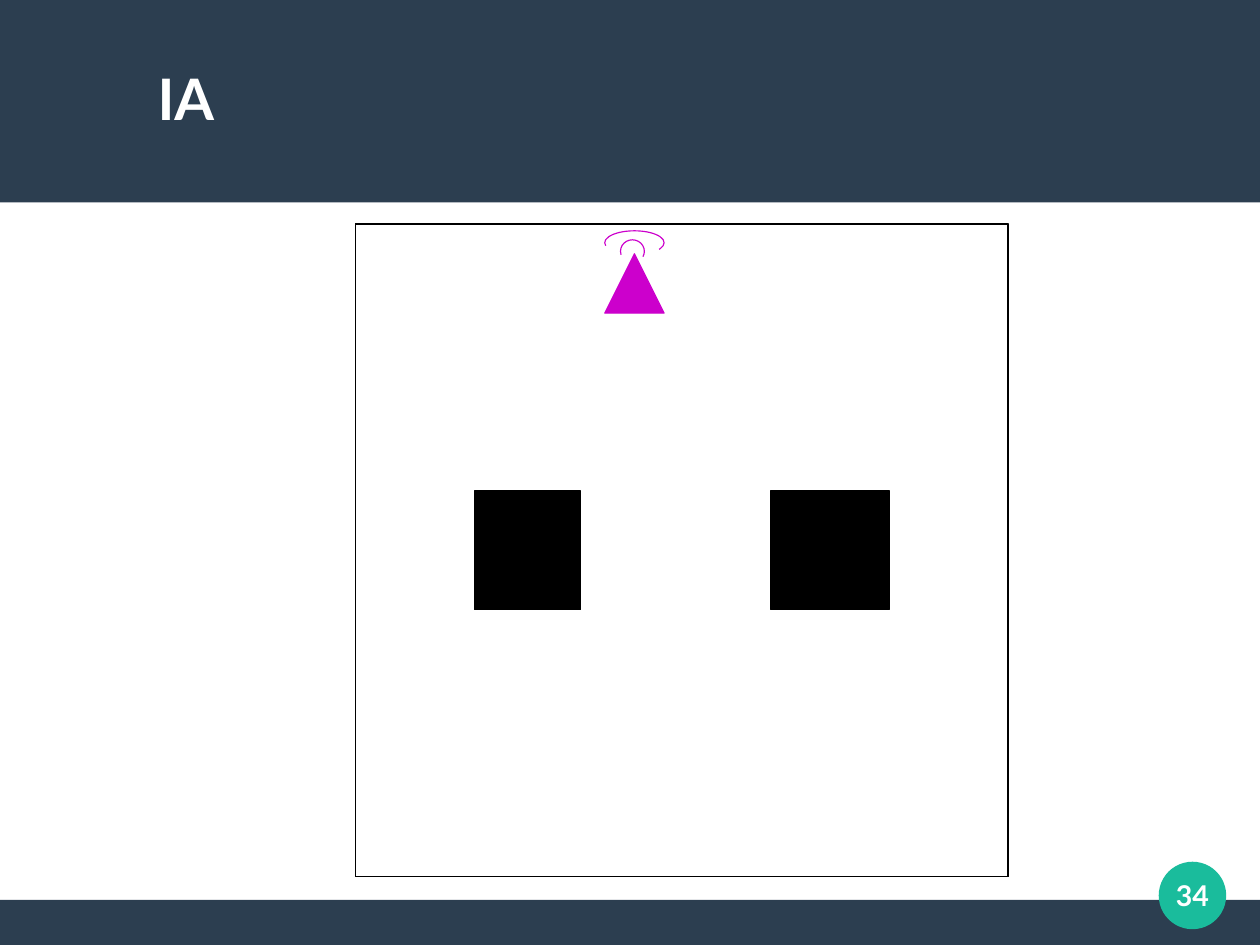
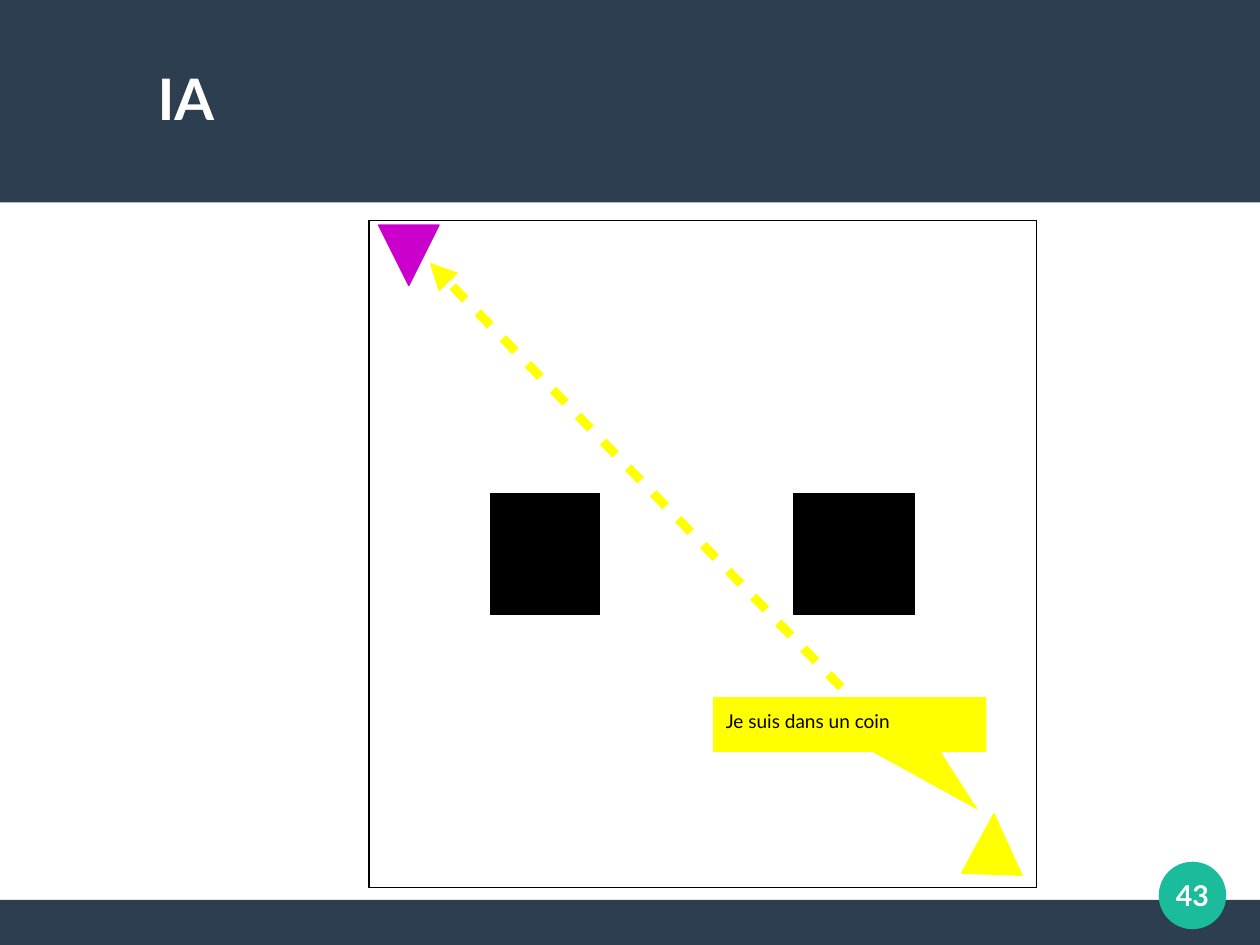
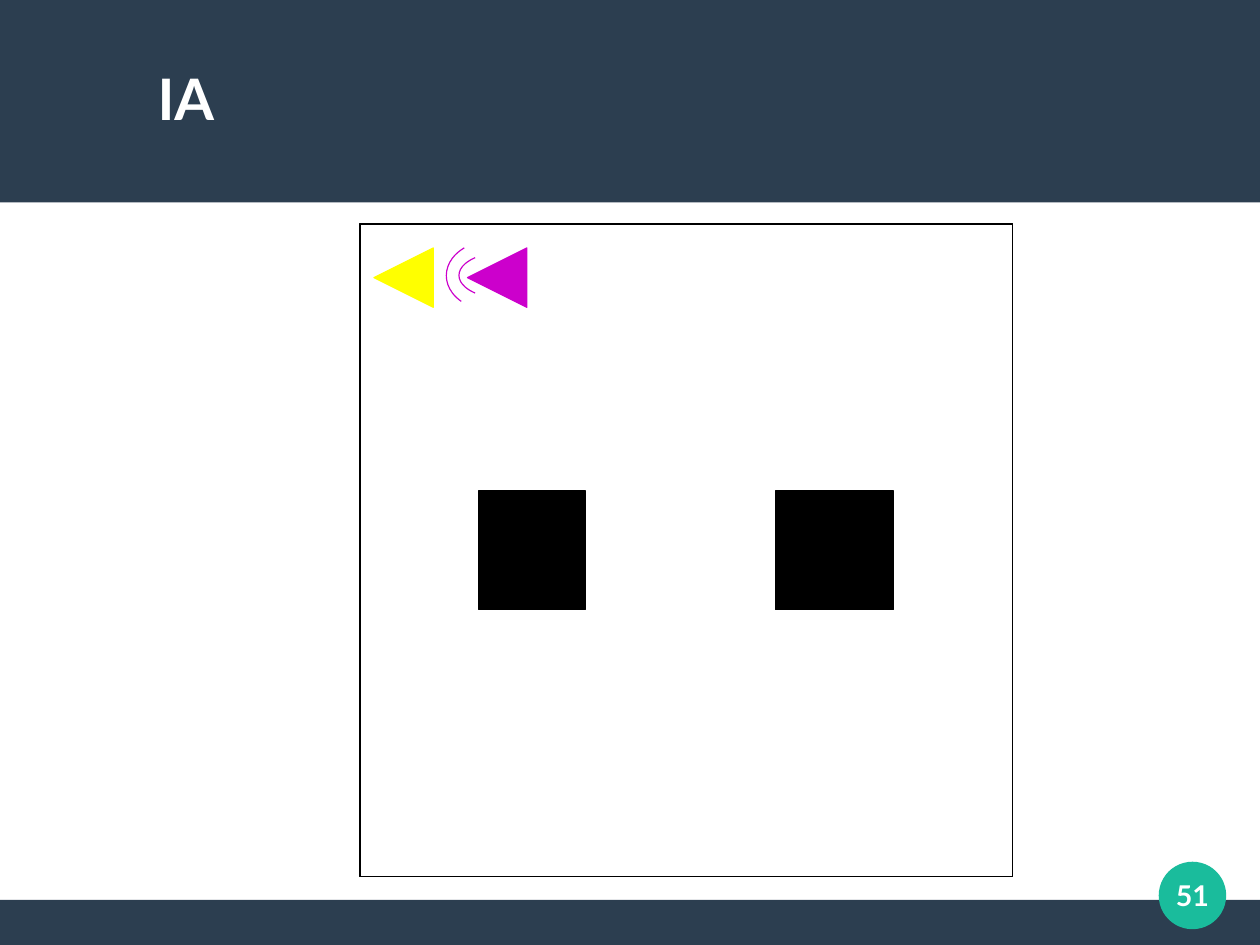
from dataclasses import dataclass

from pptx import Presentation
from pptx.dml.color import RGBColor
from pptx.enum.shapes import MSO_CONNECTOR, MSO_SHAPE
from pptx.enum.text import MSO_ANCHOR, PP_ALIGN
from pptx.oxml import parse_xml
from pptx.oxml.ns import nsdecls, qn
from pptx.util import Cm, Pt

RECTANGLE, OVAL = MSO_SHAPE.RECTANGLE, MSO_SHAPE.OVAL
TRIANGLE, ARC, FRAME = MSO_SHAPE.ISOSCELES_TRIANGLE, MSO_SHAPE.ARC, MSO_SHAPE.FRAME
CALLOUT = MSO_SHAPE.RECTANGULAR_CALLOUT
STRAIGHT = MSO_CONNECTOR.STRAIGHT
LEFT, CENTER = PP_ALIGN.LEFT, PP_ALIGN.CENTER
TOP, MIDDLE = MSO_ANCHOR.TOP, MSO_ANCHOR.MIDDLE
TITLE_ONLY = 5


@dataclass(frozen=True)
class Theme:
    font: str = "Lato"
    band: str = "2C3E50"
    badge: str = "1ABC9C"
    light: str = "FFFFFF"
    dark: str = "000000"
    sensing: str = "CC00CC"
    talking: str = "FFFF00"
    title_size: float = 36
    number_size: float = 18
    message_size: float = 12
    arrow_width: float = 5.67


THEME = Theme()

# Lengths are centimetres; boxes are left, top, width, height
SLIDE_SIZE = (28, 21)
TITLE_BOX = (1, 0.84, 26, 2.67)
TITLE_INDENT = 2.5
NUMBER_BOX = (25.5, 18.9, 2, 2)
SHARED_PARTS = [
    (RECTANGLE, (0, 20, 28, 1), THEME.band),
    (RECTANGLE, (0, 0, 28, 4.5), THEME.band),
    (OVAL, (25.75, 19.15, 1.5, 1.5), THEME.badge),
]

# The arena is a square of 11 by 11 cells; obstacles are given in cells
CELLS = 11
OBSTACLES = [(2, 4.5, 1.8, 2), (7, 4.5, 2, 2)]

# Robots: left, top, rotation, colour. Waves: box, start and end angle.
SLIDES = [
    {
        "title": "IA", "number": "34", "arena": (7.9, 4.98, 14.5),
        "robots": [(13.44, 5.64, 0, THEME.sensing)],
        "waves": [((13.44, 5.13, 1.32, 0.53), 174, 15),
                  ((13.79, 5.33, 0.53, 0.51), 163, 27)],
    },
    {
        "title": "IA", "number": "43", "arena": (8.2, 4.9, 14.83),
        "robots": [(8.41, 5, 180, THEME.sensing),
                   (21.39, 18.08, 2, THEME.talking)],
        "message": {"text": "Je suis dans un coin",
                    "box": (15.85, 15.49, 6.07, 1.22), "tip": (0.47, 1.56)},
        "arrow": (18.69, 15.27, 9.55, 5.84),
    },
    {
        "title": "IA", "number": "51", "arena": (8, 4.98, 14.5),
        "robots": [(10.39, 5.51, 270, THEME.sensing),
                   (8.31, 5.51, 270, THEME.talking)],
        "waves": [((10.2, 5.6, 2.08, 1.04), 150, 210),
                  ((9.92, 5.35, 2.03, 1.55), 140, 225)],
    },
]


def lengths(values):
    return [Cm(value) for value in values]


def apply_format(target, values):
    for name, value in values.items():
        setattr(target, name, value)


def add_shape(slide, kind, box, fill=None, line=None, adjustments=()):
    shape = slide.shapes.add_shape(kind, *lengths(box))
    shape.shadow.inherit = False
    if fill:
        shape.fill.solid()
        shape.fill.fore_color.rgb = RGBColor.from_string(fill)
    else:
        shape.fill.background()
    if line:
        shape.line.color.rgb = RGBColor.from_string(line)
        shape.line.width = Pt(0)
    else:
        shape.line.fill.background()
    for index, value in enumerate(adjustments):
        shape.adjustments[index] = value
    return shape


def write_text(shape, text, size, color, bold=True, alignment=LEFT,
               anchor=MIDDLE, left=0, top=0):
    frame = shape.text_frame
    frame.text = text
    apply_format(frame, {
        "word_wrap": True, "vertical_anchor": anchor,
        "margin_left": Cm(left), "margin_top": Cm(top),
        "margin_right": 0, "margin_bottom": 0,
    })
    paragraph = frame.paragraphs[0]
    paragraph.alignment = alignment
    font = paragraph.runs[0].font
    apply_format(font, {"name": THEME.font, "size": Pt(size), "bold": bold})
    font.color.rgb = RGBColor.from_string(color)


def move_to_layout(shape, layout, position):
    """Place a shape behind the layout's placeholders."""
    shape.element.nvSpPr.cNvPr.set("id", str(100 + position))
    layout.shapes.element.insert(2 + position, shape.element)


def add_title_and_number(slide, content):
    title = slide.shapes.title
    apply_format(title, dict(zip(("left", "top", "width", "height"),
                                 lengths(TITLE_BOX))))
    write_text(title, content["title"], THEME.title_size, THEME.light,
               left=TITLE_INDENT)
    number = slide.shapes.add_textbox(*lengths(NUMBER_BOX))
    write_text(number, content["number"], THEME.number_size, THEME.light,
               alignment=CENTER)


def add_arena(slide, left, top, side):
    add_shape(slide, FRAME, (left, top, side, side), line=THEME.dark,
              adjustments=(0,))
    cell = side / CELLS
    for column, row, width, height in OBSTACLES:
        box = (left + column * cell, top + row * cell, width * cell, height * cell)
        add_shape(slide, RECTANGLE, box, THEME.dark, THEME.dark)
    return cell


def add_message(slide, message):
    callout = add_shape(slide, CALLOUT, message["box"], THEME.talking,
                        adjustments=message["tip"])
    write_text(callout, message["text"], THEME.message_size, THEME.dark,
               bold=False, anchor=TOP, left=0.28, top=0.28)


def add_dashed_arrow(slide, ends):
    arrow = slide.shapes.add_connector(STRAIGHT, *lengths(ends))
    arrow.line.color.rgb = RGBColor.from_string(THEME.talking)
    arrow.line.width = Pt(THEME.arrow_width)
    properties = arrow.element.spPr
    line = properties.find(qn("a:ln"))
    namespace = nsdecls("a")
    line.append(parse_xml(
        f'<a:custDash {namespace}><a:ds d="200000" sp="200000"/></a:custDash>'))
    line.append(parse_xml(f'<a:tailEnd {namespace} type="triangle"/>'))
    properties.append(parse_xml(f"<a:effectLst {namespace}/>"))


def build_slide(slide, content):
    add_title_and_number(slide, content)
    cell = add_arena(slide, *content["arena"])
    for left, top, rotation, color in content["robots"]:
        robot = add_shape(slide, TRIANGLE, (left, top, cell, cell), color, color)
        robot.rotation = rotation
    # Arc adjustments count 0.6 per degree
    for box, start, end in content.get("waves", []):
        add_shape(slide, ARC, box, line=THEME.sensing,
                  adjustments=(start * 0.6, end * 0.6))
    if "message" in content:
        add_message(slide, content["message"])
    if "arrow" in content:
        add_dashed_arrow(slide, content["arrow"])


def main():
    presentation = Presentation()
    presentation.slide_width, presentation.slide_height = lengths(SLIDE_SIZE)
    layout = presentation.slide_layouts[TITLE_ONLY]
    slides = [presentation.slides.add_slide(layout) for _ in SLIDES]

    # Bands and badge belong to the layout
    for position, (kind, box, color) in enumerate(SHARED_PARTS):
        move_to_layout(add_shape(slides[0], kind, box, color), layout, position)

    for slide, content in zip(slides, SLIDES):
        build_slide(slide, content)
    presentation.save("out.pptx")


if __name__ == "__main__":
    main()
